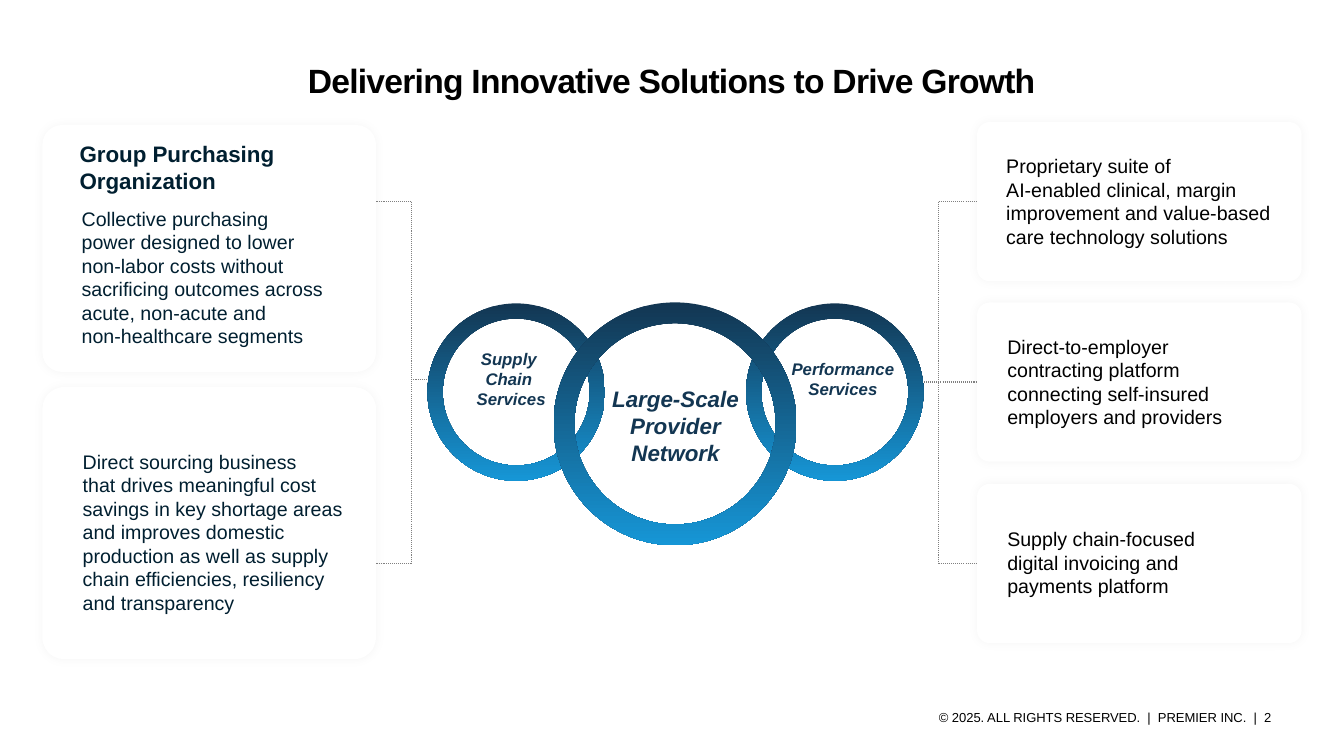
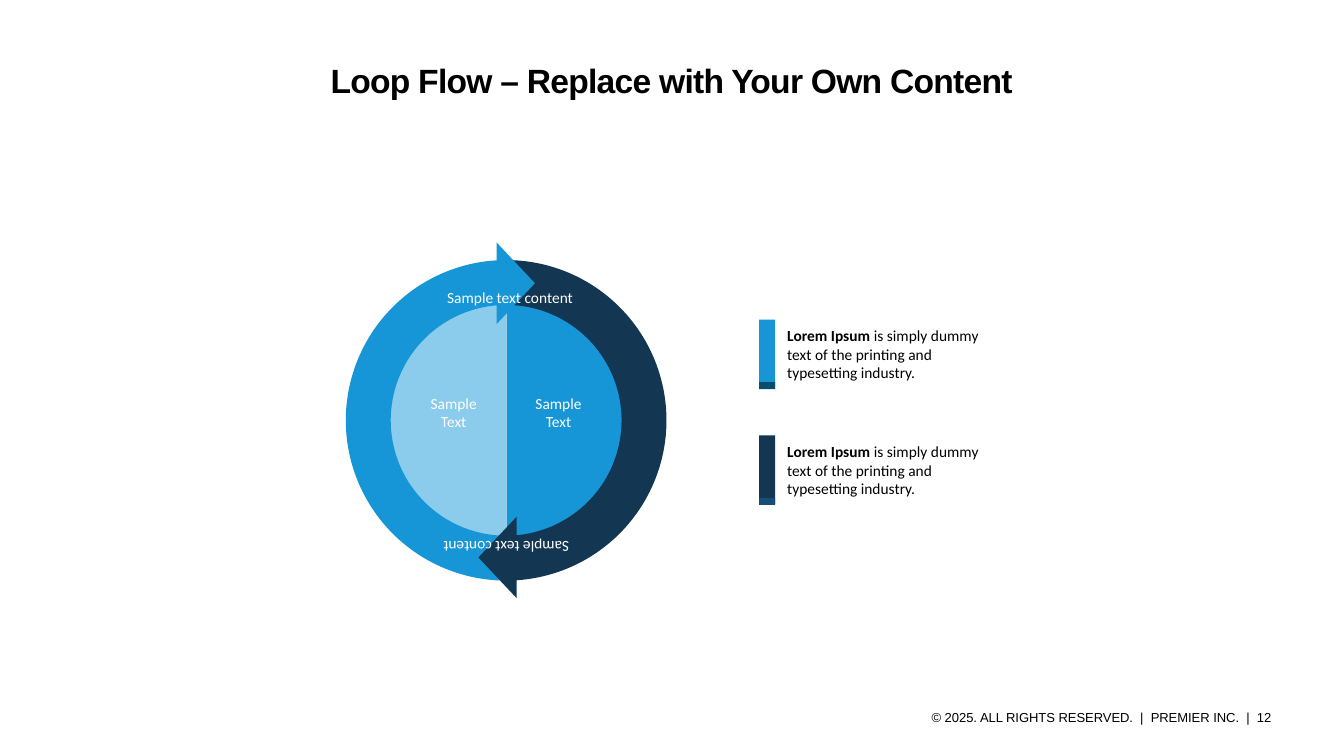
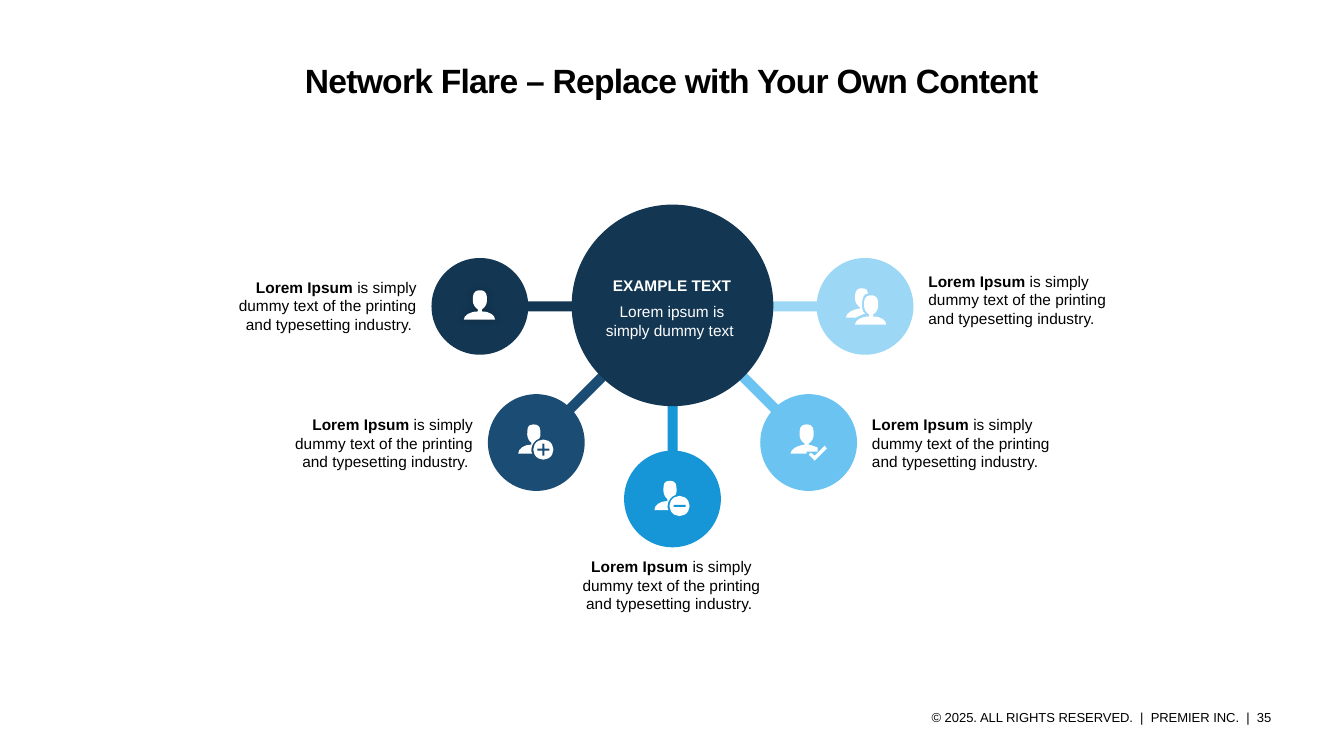
import math

from lxml import etree
from pptx import Presentation
from pptx.chart import data as chart_data
from pptx.dml import color as dml_color
from pptx.enum import chart as chart_enum
from pptx.enum import dml, shapes, text
from pptx.oxml import ns
from pptx.util import Pt

PX = 9144
SHAPE = shapes.MSO_SHAPE
ALIGN = text.PP_ALIGN
NAVY, STEEL, BLUE = "133652", "1B4C73", "1696D6"
SKY, PALE, MIST, DEEP = "6AC3F0", "9CD7F5", "8BCBEB", "0B4B6B"
INK, BLACK, WHITE, GREY = "001F30", "000000", "FFFFFF", "808080"
LEAD = "Lorem Ipsum"
REST = " is simply dummy text of the printing and typesetting industry."

PERSON = [(18, 21), (18, 19), (21, 17, 23, 14, 23, 10), (23, 5, 23, 0, 16, 0),
          (9, 0, 9, 5, 9, 10), (9, 14, 11, 17, 14, 19), (14, 21),
          (6, 21, 0, 25, 0, 29), (31, 29), (31, 25, 26, 21, 18, 21)]
BADGED_PERSON = [(13, 25), (13, 20, 17, 15, 21, 14), (22, 12, 22, 11, 22, 10),
                 (22, 4, 22, 0, 15, 0), (9, 0, 9, 4, 9, 10),
                 (9, 13, 11, 17, 13, 18), (13, 20), (6, 20, 0, 24, 0, 29),
                 (14, 29), (13, 28, 13, 26, 13, 25)]
BACK_PERSON = [(12, 28), (14, 27, 16, 26, 19, 25), (18, 24, 18, 24, 17, 23),
               (16, 21, 16, 19, 16, 17), (16, 14, 16, 11, 17, 9),
               (18, 7, 19, 5, 22, 5), (22, 2, 20, 0, 16, 0),
               (9, 0, 9, 5, 9, 10), (9, 14, 11, 17, 14, 19), (14, 20),
               (6, 21, 0, 25, 0, 29), (10, 29), (10, 29, 11, 28, 12, 28)]
CHECKED_PERSON = [(16, 27), (27, 27), (27, 23), (25, 22, 22, 21, 18, 20), (18, 19),
                  (21, 17, 23, 14, 23, 10), (23, 5, 23, 0, 16, 0),
                  (9, 0, 9, 5, 9, 10), (9, 14, 11, 17, 14, 19), (14, 20),
                  (6, 21, 0, 25, 0, 29), (16, 29)]
CHECK = [(34, 21), (24, 31), (20, 28), (18, 30), (24, 36), (36, 24)]


def px(*lengths):
    """Turn px lengths into EMU."""
    return [round(length * PX) for length in lengths]


def rgb(value):
    """Make a colour from a hex string."""
    return dml_color.RGBColor.from_string(value)


def style(item, fill):
    """Give a shape a plain fill with no line or shadow."""
    item.shadow.inherit = False
    item.fill.solid()
    item.fill.fore_color.rgb = rgb(fill)
    item.line.fill.background()
    return item


def add_block(page, kind, box, fill, turn=0, adjust=()):
    """Add a filled preset shape."""
    block = style(page.shapes.add_shape(kind, *px(*box)), fill)
    block.rotation = turn
    for index, value in enumerate(adjust):
        block.adjustments[index] = value
    return block


def soften(item, blur, alpha):
    """Add a soft black shadow around a shape."""
    effects = item.element.spPr.find(ns.qn("a:effectLst"))
    shadow = etree.SubElement(effects, ns.qn("a:outerShdw"), blurRad=str(Pt(blur)),
                              dist="0", algn="ctr", rotWithShape="0")
    tone = etree.SubElement(shadow, ns.qn("a:srgbClr"), val=BLACK)
    etree.SubElement(tone, ns.qn("a:alpha"), val=str(alpha * 1000))


def format_span(span, size, fill, bold=False, italic=False, font="Arial"):
    """Set the font of one run."""
    span.font.size = Pt(size)
    span.font.name = font
    span.font.bold = bold
    span.font.italic = italic
    span.font.color.rgb = rgb(fill)


def add_text(page, box, words, size, fill, align=ALIGN.LEFT, insets=(10, 5, 10, 5), **font):
    """Add a wrapped text box and return it."""
    area = page.shapes.add_textbox(*px(*box))
    frame = area.text_frame
    frame.word_wrap = True
    (frame.margin_left, frame.margin_top,
     frame.margin_right, frame.margin_bottom) = px(*insets)
    frame.text = words
    para = frame.paragraphs[0]
    para.alignment = align
    for span in para.runs:
        format_span(span, size, fill, **font)
    return area


def add_lorem(page, box, align=ALIGN.LEFT, font="Arial"):
    """Add sample text with a bold lead."""
    area = add_text(page, box, LEAD, 11, BLACK, align, bold=True, font=font)
    span = area.text_frame.paragraphs[0].add_run()
    span.text = REST if align == ALIGN.LEFT else REST + " "
    format_span(span, 11, BLACK, font=font)


def add_page(deck, heading, number):
    """Add a slide with its title and footer."""
    page = deck.slides.add_slide(deck.slide_layouts[5])
    title = page.shapes.title
    title.left, title.top, title.width, title.height = px(50, 43, 1232, 78)
    frame = title.text_frame
    frame.text = heading
    frame.auto_size = text.MSO_AUTO_SIZE.NONE
    frame.vertical_anchor = text.MSO_ANCHOR.MIDDLE
    frame.margin_left = frame.margin_top = frame.margin_right = frame.margin_bottom = 0
    para = frame.paragraphs[0]
    para.alignment = ALIGN.CENTER
    para.line_spacing = 0.86
    for span in para.runs:
        format_span(span, 24, BLACK, bold=True)
        span.font._element.set("spc", "-53")
    footer = add_text(page, (830, 695, 449, 34),
                      f"© 2025. ALL RIGHTS RESERVED.  |  PREMIER INC.  |  {number}",
                      9.3, BLACK, ALIGN.RIGHT, (18, 9, 18, 9))
    footer.text_frame.vertical_anchor = text.MSO_ANCHOR.MIDDLE
    for span in footer.text_frame.paragraphs[0].runs:
        span.font._element.set("kern", "0")
    return page


def add_dotted(page, start, end, card=None):
    """Draw a dotted line, joined to a card's left side if one is given."""
    line = page.shapes.add_connector(shapes.MSO_CONNECTOR.STRAIGHT, *px(*start, *end))
    line.line.color.rgb = rgb(GREY)
    line.line.width = Pt(0.75)
    line.line.dash_style = dml.MSO_LINE.ROUND_DOT
    etree.SubElement(line.element.spPr, ns.qn("a:effectLst"))
    if card is not None:
        line.end_connect(card, 1)


def add_card(page, box, words, fill, inset):
    """Add a white card with its text placed by an inset box."""
    card = add_block(page, SHAPE.ROUNDED_RECTANGLE, box, WHITE, adjust=[0.08])
    soften(card, 7, 4)
    left, top, width, height = inset
    add_text(page, (box[0] + left, box[1] + top, width, height), words, 14, fill,
             insets=(0, 5, 0, 5))
    return card


def add_supply_cards(page, box):
    """Add the left column of cards and its bracket."""
    left, top, width, height = box
    add_card(page, (left, top, width, 245),
             "Collective purchasing\vpower designed to lower\vnon-labor costs without "
             "sacrificing outcomes across acute, non-acute and\vnon-healthcare segments",
             INK, (39, 76, 264, 151))
    add_card(page, (left, top + height - 270, width, 270),
             "Direct sourcing business\vthat drives meaningful cost savings in key shortage "
             "areas and improves domestic production as well as supply chain efficiencies, "
             "resiliency and transparency", INK, (40, 57, 264, 175))
    add_text(page, (left + 27, top + 10, 251, 64), "Group Purchasing \vOrganization",
             16, INK, bold=True)
    edge, trunk = left + width, left + width + 35
    upper, lower, tie = top + 76, top + 435, top + 253
    add_dotted(page, (trunk, upper), (trunk, lower))
    add_dotted(page, (trunk, tie), (trunk + 18, tie))
    for row in (upper, lower):
        add_dotted(page, (trunk, row), (edge, row))


def add_service_cards(page, box):
    """Add the right column of cards and its bracket."""
    left, top, width, height = box
    card_height = 158
    step = (height - card_height) / 2
    entries = [
        ("Proprietary suite of\vAI-enabled clinical, margin improvement and value-based "
         "care technology solutions", (29, 27, 290, 104)),
        ("Direct-to-employer \vcontracting platform connecting self-insured employers "
         "and providers", (30, 27, 269, 104)),
        ("Supply chain-focused \vdigital invoicing and \vpayments platform",
         (30, 38, 269, 81))]
    trunk = left - 38
    tops = [top + int(step * index) for index in range(3)]
    middles = [card_top + card_height / 2 for card_top in tops]
    for index, (words, inset) in enumerate(entries):
        card = add_card(page, (left, tops[index], width, card_height), words, BLACK, inset)
        start = trunk - 31 if index == 1 else trunk
        add_dotted(page, (start, middles[index]), (left, middles[index]), card)
    add_dotted(page, (trunk, middles[0]), (trunk, middles[2]))


def add_rings(page, box):
    """Add three linked rings and their captions."""
    left, top = box[:2]
    for x, y, size in ((0, 1, 176), (316, 1, 176), (125, 0, 241)):
        ring = add_block(page, SHAPE.DONUT, (left + x, top + y, size, size), NAVY,
                         adjust=[6 / 70])
        ring.fill.gradient()
        ring.fill.gradient_angle = 270
        for stop, fill in zip(ring.fill.gradient_stops, (NAVY, BLUE)):
            stop.color.rgb = rgb(fill)
    for x, y, width, height, words, size in (
            (9, 41, 148, 71, "Supply \vChain \vServices", 12),
            (338, 51, 148, 50, "Performance Services", 12),
            (173, 77, 146, 91, "Large-Scale Provider Network", 16)):
        add_text(page, (left + x, top + y, width, height), words, size, NAVY,
                 ALIGN.CENTER, bold=True, italic=True)


def add_halves(page, box):
    """Add the pie chart of two equal halves."""
    data = chart_data.CategoryChartData()
    data.categories = ["1", "2"]
    data.add_series("Series 1", (50, 50))
    chart = page.shapes.add_chart(chart_enum.XL_CHART_TYPE.PIE, *px(*box), data).chart
    chart.has_title = chart.has_legend = False
    chart.font.size = Pt(10)
    chart.font.name = "Arial"
    chart.font.color.rgb = rgb(BLACK)
    plot = chart.plots[0]
    plot.vary_by_categories = True
    for index, fill in enumerate((BLUE, MIST)):
        point = plot.series[0].points[index].format
        point.fill.solid()
        point.fill.fore_color.rgb = rgb(fill)
        point.line.fill.background()
    area = chart.element.find(".//" + ns.qn("c:plotArea"))
    for old in area.findall(ns.qn("c:layout")):
        area.remove(old)
    layout = etree.Element(ns.qn("c:layout"))
    area.insert(0, layout)
    manual = etree.SubElement(layout, ns.qn("c:manualLayout"))
    for tag, value in (("layoutTarget", "inner"), ("xMode", "edge"), ("yMode", "edge"),
                       ("x", "0.08"), ("y", "0.1"), ("w", "0.84"), ("h", "0.8")):
        etree.SubElement(manual, ns.qn("c:" + tag), val=value)


def add_wheel(page, box):
    """Add the loop of two arrows around the halves."""
    left, top = box[:2]
    add_halves(page, (left + 21, top + 14, 277, 289))
    for turn, fill in ((270, BLUE), (90, NAVY)):
        add_block(page, SHAPE.BLOCK_ARC, box, fill, turn, (107.94, 215.95, 0.14))
    for x, y, turn, fill in ((110, 276, 270, NAVY), (128, 4, 90, BLUE)):
        add_block(page, SHAPE.ISOSCELES_TRIANGLE, (left + x, top + y, 81, 38), fill, turn)
    for x, y, width, height, turn, words in (
            (24, 29, 270, 270, 180, "Sample text content"),
            (28, 23, 270, 270, 0, "Sample text content"),
            (62, 128, 90, 47, 0, "Sample Text"), (166, 128, 90, 47, 0, "Sample Text")):
        area = add_text(page, (left + x, top + y, width, height), words, 11, WHITE,
                        ALIGN.CENTER, font="Calibri")
        area.rotation = turn


def add_key(page, box, fill, foot):
    """Add a colour bar with its text."""
    left, top, width, height = box
    add_block(page, SHAPE.RECTANGLE, (left, top, 16, height), fill)
    add_block(page, SHAPE.RECTANGLE, (left, top + height - 6, 16, 7), foot)
    add_lorem(page, (left + 18, top + 2, width - 18, 66), font="Calibri")


def add_outline(page, origin, outline):
    """Draw a white outline of straight (x, y) and curved six-number steps."""
    placed = [px(*(origin[n % 2] + value for n, value in enumerate(step)))
              for step in outline]
    builder = page.shapes.build_freeform(*placed[0], scale=1.0)
    builder.add_line_segments([step[-2:] for step in placed[1:]], close=True)
    drawing = style(builder.convert_to_shape(), WHITE)
    corner = (drawing.left, drawing.top)
    lines = drawing.element.spPr.findall(".//" + ns.qn("a:lnTo"))
    for line, step in zip(lines, placed[1:]):
        if len(step) == 6:
            curve = etree.Element(ns.qn("a:cubicBezTo"))
            for n in (0, 2, 4):
                etree.SubElement(curve, ns.qn("a:pt"), x=str(step[n] - corner[0]),
                                 y=str(step[n + 1] - corner[1]))
            line.getparent().replace(line, curve)
    return drawing


def add_icon(page, origin, kind, fill):
    """Draw one user icon from its top left corner."""
    left, top = origin
    if kind == "user":
        soften(add_outline(page, (left + 2, top + 2), PERSON), 6, 20)
    elif kind == "users":
        add_outline(page, (left - 1, top), BACK_PERSON)
        add_outline(page, (left + 8, top + 7), PERSON)
    elif kind == "check":
        add_outline(page, origin, CHECKED_PERSON)
        add_outline(page, origin, CHECK)
    else:
        add_outline(page, origin, BADGED_PERSON)
        add_block(page, SHAPE.OVAL, (left + 15, top + 15, 20, 20), WHITE)
        if kind == "plus":
            add_block(page, SHAPE.CROSS, (left + 19, top + 19, 12, 12), fill, adjust=[0.41])
        else:
            add_block(page, SHAPE.RECTANGLE, (left + 19, top + 24, 12, 2), fill)


def add_flare(page, box):
    """Add the hub with five spokes, user nodes and labels."""
    left, top, size = box[:3]
    center_x, center_y = left + size / 2, top + size / 2 + 1
    for angle, kind, fill, align, lift in (
            (0, "users", PALE, ALIGN.LEFT, -39), (90, "minus", BLUE, ALIGN.CENTER, 53),
            (180, "user", NAVY, ALIGN.RIGHT, -33), (135, "plus", STEEL, ALIGN.RIGHT, -32),
            (45, "check", SKY, ALIGN.LEFT, -32)):
        across, down = math.cos(math.radians(angle)), math.sin(math.radians(angle))
        x, y = center_x + 191 * across, center_y + 191 * down
        add_block(page, SHAPE.OVAL, (x - 48, y - 48, 96, 96), fill)
        add_block(page, SHAPE.RECTANGLE,
                  (center_x + 124 * across - 25, center_y + 124 * down - 5, 50, 10),
                  fill, angle)
        add_icon(page, (x - 18, y - 18), kind, fill)
        shift = {ALIGN.LEFT: 53, ALIGN.CENTER: -103, ALIGN.RIGHT: -257}[align]
        add_lorem(page, (x + shift, y + lift, 204, 66), align)
    add_block(page, SHAPE.OVAL, box, NAVY)
    add_text(page, (left + 15, top + 66, 169, 29), "EXAMPLE TEXT", 11, WHITE,
             ALIGN.CENTER, bold=True)
    add_text(page, (left + 15, top + 92, 169, 47), "Lorem ipsum is simply dummy text ",
             11, WHITE, ALIGN.CENTER)


def main():
    """Build the three slides."""
    deck = Presentation()
    deck.slide_width, deck.slide_height = px(1333, 750)

    page = add_page(deck, "Delivering Innovative Solutions to Drive Growth", 2)
    add_supply_cards(page, (42, 124, 331, 530))
    add_service_cards(page, (969, 121, 322, 517))
    add_rings(page, (424, 300, 492, 241))

    page = add_page(deck, "Loop Flow – Replace with Your Own Content", 12)
    add_wheel(page, (343, 258, 318, 318))
    for top, fill, foot in ((317, BLUE, DEEP), (432, NAVY, STEEL)):
        add_key(page, (753, top, 254, 68), fill, foot)

    page = add_page(deck, "Network Flare – Replace with Your Own Content", 35)
    add_flare(page, (567, 203, 200, 200))
    deck.save("out.pptx")


if __name__ == "__main__":
    main()
